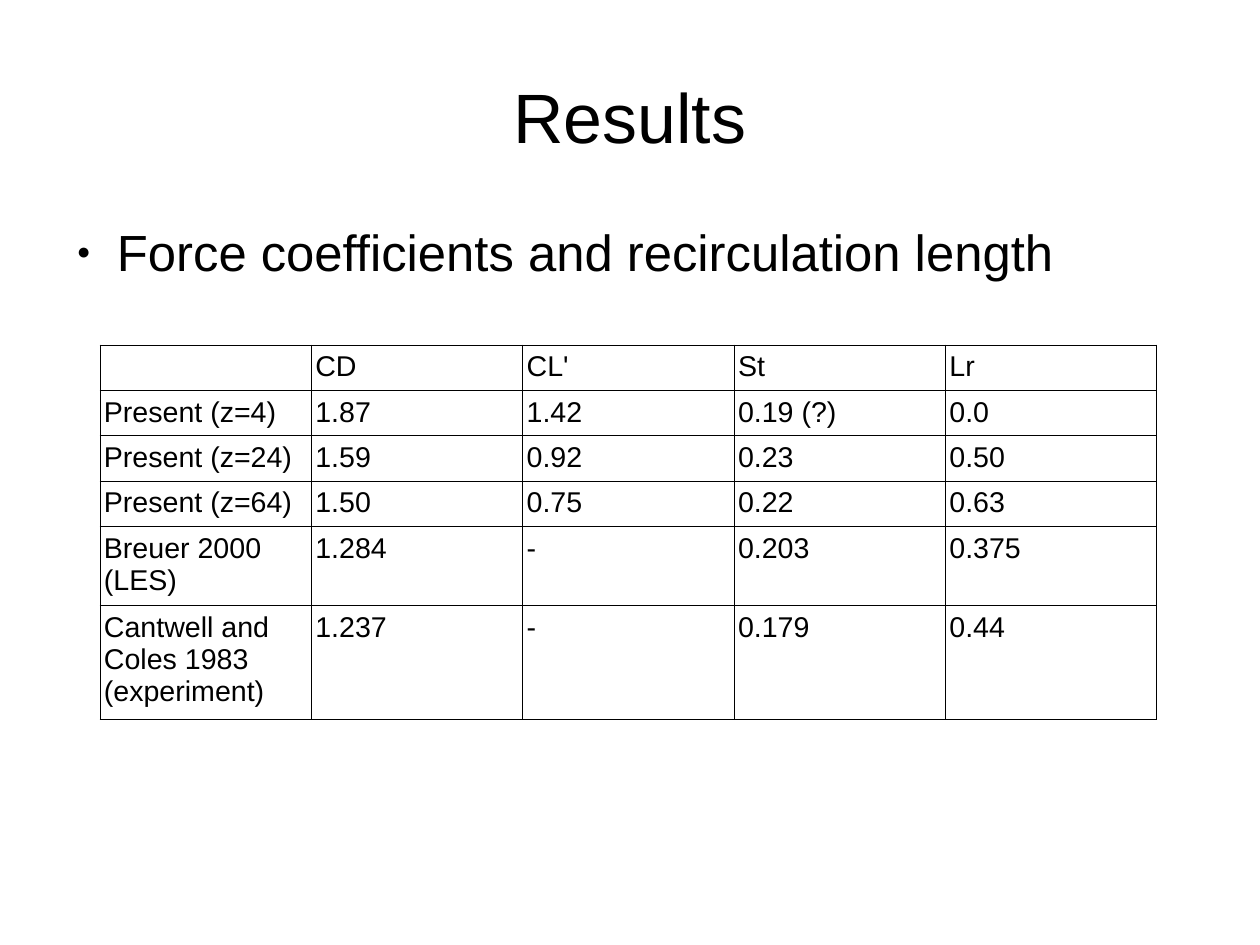
from lxml import etree
from pptx import Presentation
from pptx.dml.color import RGBColor
from pptx.enum.text import MSO_ANCHOR, PP_ALIGN
from pptx.oxml.ns import qn
from pptx.util import Pt

EMU_PER_PX = 8000
SLIDE_SIZE = (1260, 945)
COLORS = {"ink": "000000", "paper": "FFFFFF"}
MIDDLE, TOP = MSO_ANCHOR.MIDDLE, MSO_ANCHOR.TOP
CENTER, LEFT = PP_ALIGN.CENTER, PP_ALIGN.LEFT

COEFFICIENTS = [
    ["", "CD", "CL'", "St", "Lr"],
    ["Present (z=4)", "1.87", "1.42", "0.19 (?)", "0.0"],
    ["Present (z=24)", "1.59", "0.92", "0.23", "0.50"],
    ["Present (z=64)", "1.50", "0.75", "0.22", "0.63"],
    ["Breuer 2000 (LES)", "1.284", "-", "0.203", "0.375"],
    ["Cantwell and Coles 1983 (experiment)", "1.237", "-", "0.179", "0.44"],
]
ROW_HEIGHTS = [44, 44, 44, 44, 76, 107]


def px(length):
    return length * EMU_PER_PX


def add_xml(parent, tag, **attributes):
    return etree.SubElement(parent, qn(tag), attributes)


class ResultsSlide:
    font_name = "Arial"
    border_width = Pt(0.57)

    def __init__(self, presentation):
        self.slide = presentation.slides.add_slide(presentation.slide_layouts[6])
        background = self.slide.background.fill
        background.solid()
        background.fore_color.rgb = RGBColor.from_string(COLORS["paper"])

    def style(self, paragraph, size):
        paragraph.font.name = self.font_name
        paragraph.font.size = Pt(size)
        paragraph.font.color.rgb = RGBColor.from_string(COLORS["ink"])

    def text(self, box, wording, size, align=LEFT, anchor=TOP, bullet=False):
        frame = self.slide.shapes.add_textbox(*map(px, box)).text_frame
        frame.word_wrap = True
        frame.vertical_anchor = anchor
        frame.margin_left = frame.margin_right = 0
        frame.margin_top = frame.margin_bottom = 0
        paragraph = frame.paragraphs[0]
        paragraph.text = wording
        paragraph.alignment = align
        if bullet:
            self.bullet(paragraph)
        self.style(paragraph, size)

    def bullet(self, paragraph):
        properties = paragraph._p.get_or_add_pPr()
        properties.set("marL", str(px(54)))
        properties.set("indent", str(px(-40)))
        bullet_color = add_xml(properties, "a:buClr")
        add_xml(bullet_color, "a:srgbClr", val=COLORS["ink"])
        add_xml(properties, "a:buSzPct", val="45000")
        add_xml(properties, "a:buFont", typeface=self.font_name)
        add_xml(properties, "a:buChar", char="●")

    def table(self, left, top, width, row_heights, rows, size):
        column_count = len(rows[0])
        table = self.slide.shapes.add_table(
            len(rows), column_count,
            *map(px, (left, top, width, sum(row_heights)))).table
        table.first_row = table.horz_banding = False
        for column in table.columns:
            column.width = px(width) // column_count
        for row, height, values in zip(table.rows, row_heights, rows):
            row.height = px(height)
            for cell, value in zip(row.cells, values):
                self.cell(cell, value, size)

    def cell(self, cell, value, size):
        cell.margin_left = cell.margin_right = px(4)
        cell.margin_top, cell.margin_bottom = px(6), px(5)
        cell.vertical_anchor = TOP
        cell.text = value
        self.style(cell.text_frame.paragraphs[0], size)
        self.borders(cell)
        cell.fill.background()

    def borders(self, cell):
        properties = cell._tc.get_or_add_tcPr()
        for side in ("a:lnL", "a:lnR", "a:lnT", "a:lnB"):
            line = add_xml(properties, side, w=str(self.border_width))
            line_fill = add_xml(line, "a:solidFill")
            add_xml(line_fill, "a:srgbClr", val=COLORS["ink"])


def main():
    presentation = Presentation()
    presentation.slide_width, presentation.slide_height = map(px, SLIDE_SIZE)
    results = ResultsSlide(presentation)
    results.text((63, 43, 1134, 146), "Results", 44, CENTER, MIDDLE)
    results.text((63, 221, 1134, 624),
                 "Force coefficients and recirculation length", 32, bullet=True)
    results.table(100, 345, 1057, ROW_HEIGHTS, COEFFICIENTS, 18)
    presentation.save("out.pptx")


if __name__ == "__main__":
    main()
